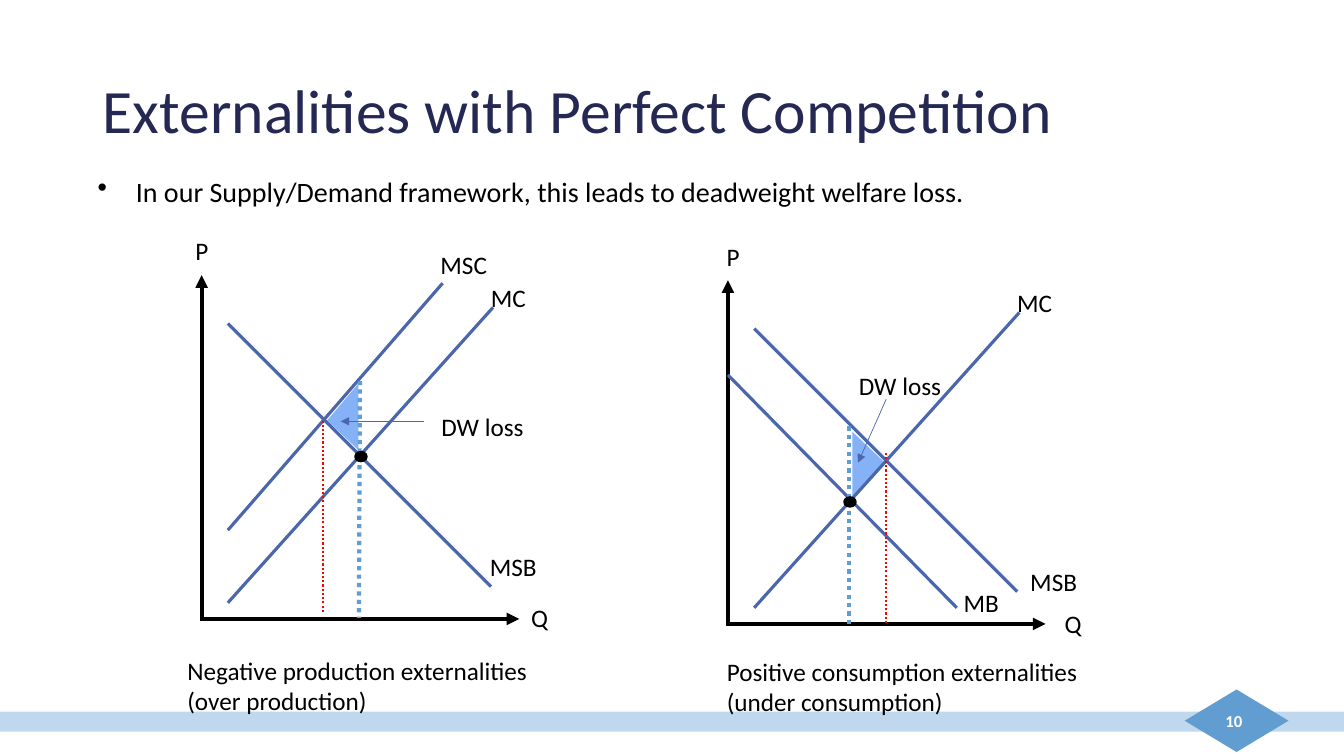
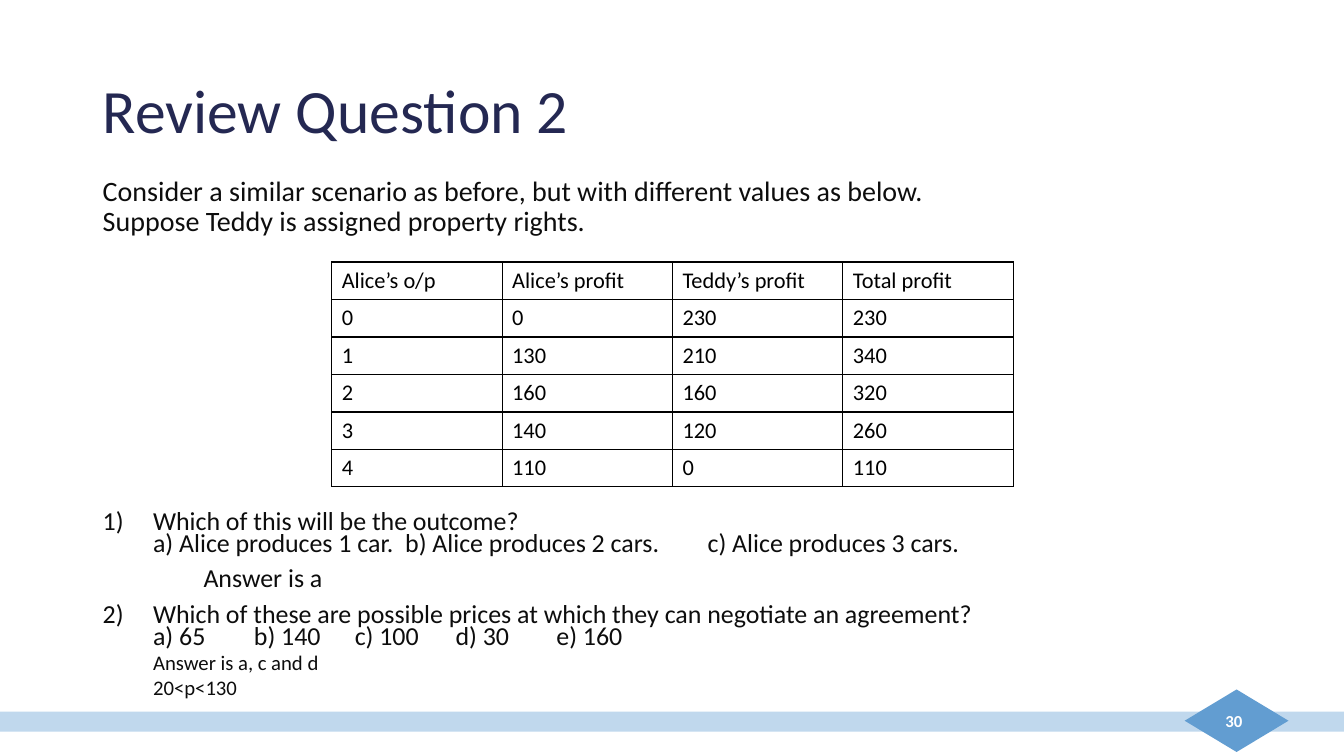
from dataclasses import dataclass, field
from typing import NamedTuple

from lxml import etree
from pptx import Presentation
from pptx.dml.color import RGBColor
from pptx.enum.dml import MSO_LINE
from pptx.enum.shapes import MSO_CONNECTOR, MSO_SHAPE
from pptx.enum.text import MSO_ANCHOR, MSO_AUTO_SIZE, PP_ALIGN
from pptx.oxml.ns import qn
from pptx.util import Inches, Pt

# The slide is a grid of one-inch columns and rows.
COLUMNS, ROWS = 13.33, 7.5
FONT = "Calibri"
BLACK, WHITE, NAVY, INK = "000000", "FFFFFF", "242852", "0D0D0D"
CURVE, ACCENT, BAND, LOSS, RED = "4A66AC", "629DD1", "C0D8ED", "85B2F6", "FF0000"
STRAIGHT = MSO_CONNECTOR.STRAIGHT
RECTANGLE, DIAMOND = MSO_SHAPE.RECTANGLE, MSO_SHAPE.DIAMOND
TRIANGLE, OVAL = MSO_SHAPE.ISOSCELES_TRIANGLE, MSO_SHAPE.OVAL
DOTTED = MSO_LINE.ROUND_DOT
LEFT, RIGHT, MIDDLE = PP_ALIGN.LEFT, PP_ALIGN.RIGHT, MSO_ANCHOR.MIDDLE
TITLE_ONLY = 5


class Point(NamedTuple):
    column: float
    row: float

    def shifted(self, origin: "Point") -> "Point":
        return Point(self.column + origin.column, self.row + origin.row)


class Area(NamedTuple):
    column: float
    row: float
    columns: float
    rows: float


class Label(NamedTuple):
    text: str
    at: Point
    columns: float = 1


class Stroke(NamedTuple):
    start: Point
    end: Point
    color: str = CURVE
    width: float = 2.25
    dotted: bool = False
    arrow: bool = False


@dataclass
class Paragraph:
    """One paragraph; each item of lines is a run, parted by line breaks."""
    lines: list[str]
    size: float
    color: str = BLACK
    bold: bool = False
    align: PP_ALIGN = LEFT
    spacing: float = 1.0
    before: float = 0
    margin: float = 0
    hanging: float = 0
    bullet: str = ""
    number: int = 0
    tabs: list[float] = field(default_factory=list)


@dataclass
class Graph:
    """A supply and demand graph, with all places relative to its origin."""
    origin: Point
    strokes: list[Stroke]
    labels: list[Label]
    loss: Point
    loss_turn: int
    dot: Point
    caption: list[str]
    caption_area: Area


def rgb(color: str) -> RGBColor:
    return RGBColor.from_string(color)


def box_of(area: Area) -> list[int]:
    return [Inches(length) for length in area]


def write(frame, paragraphs: list[Paragraph]) -> None:
    frame.word_wrap = True
    for index, item in enumerate(paragraphs):
        para = frame.add_paragraph() if index else frame.paragraphs[0]
        para.alignment = item.align
        para.line_spacing = item.spacing
        para.space_before = Pt(item.before if index else 0)
        properties = para._p.get_or_add_pPr()
        properties.set("marL", str(Inches(item.margin)))
        properties.set("indent", str(-Inches(item.hanging)))
        if item.bullet:
            etree.SubElement(properties, qn("a:buChar"), char=item.bullet)
        elif item.number:
            etree.SubElement(properties, qn("a:buAutoNum"),
                             type="arabicParenR", startAt=str(item.number))
        else:
            etree.SubElement(properties, qn("a:buNone"))
        if item.tabs:
            stops = etree.SubElement(properties, qn("a:tabLst"))
            for stop in item.tabs:
                etree.SubElement(stops, qn("a:tab"), pos=str(Inches(stop)), algn="l")
        for line_index, line in enumerate(item.lines):
            if line_index:
                para.add_line_break()
            span = para.add_run()
            span.text = line
            span.font.name = FONT
            span.font.size = Pt(item.size)
            span.font.bold = item.bold
            span.font.color.rgb = rgb(item.color)


def add_text(page, area: Area, paragraphs: list[Paragraph]):
    box = page.shapes.add_textbox(*box_of(area))
    write(box.text_frame, paragraphs)
    return box


def add_shape(page, kind, area: Area, fill: str):
    shape = page.shapes.add_shape(kind, *box_of(area))
    shape.shadow.inherit = False
    shape.fill.solid()
    shape.fill.fore_color.rgb = rgb(fill)
    shape.line.fill.background()
    return shape


def add_stroke(page, origin: Point, stroke: Stroke) -> None:
    ends = [*stroke.start.shifted(origin), *stroke.end.shifted(origin)]
    connector = page.shapes.add_connector(STRAIGHT, *(Inches(end) for end in ends))
    connector.line.color.rgb = rgb(stroke.color)
    connector.line.width = Pt(stroke.width)
    if stroke.dotted:
        connector.line.dash_style = DOTTED
    properties = connector._element.spPr
    if stroke.arrow:
        etree.SubElement(properties.find(qn("a:ln")), qn("a:tailEnd"), type="triangle")
    etree.SubElement(properties, qn("a:effectLst"))


def add_page(deck, title: str, number: int):
    """Add a slide with the shared title, band and page number."""
    page = deck.slides.add_slide(deck.slide_layouts[TITLE_ONLY])
    heading = page.shapes.title
    heading.left, heading.top, heading.width, heading.height = box_of(
        Area(0.92, 0.4, 11.5, 1.45))
    heading.text_frame.auto_size = MSO_AUTO_SIZE.NONE
    heading.text_frame.vertical_anchor = MIDDLE
    write(heading.text_frame, [Paragraph([title], 44, NAVY, spacing=0.9)])
    add_shape(page, RECTANGLE, Area(0, 7.06, COLUMNS, 0.2), BAND)
    add_shape(page, DIAMOND, Area(11.75, 6.84, 1.03, 0.62), ACCENT)
    box = add_text(page, Area(9.42, 6.95, 3, 0.4),
                   [Paragraph([str(number)], 12, WHITE, bold=True, align=RIGHT)])
    box.text_frame.vertical_anchor = MIDDLE
    return page


# Axes, marginal cost and social benefit are the same in both graphs.
SHARED_STROKES = [
    Stroke(Point(0, 0), Point(0, -3.41), BLACK, 3, arrow=True),
    Stroke(Point(-0.02, 0), Point(3.15, 0), BLACK, 3, arrow=True),
    Stroke(Point(0.26, -0.16), Point(2.89, -3.09)),
    Stroke(Point(0.26, -2.93), Point(2.87, -0.32)),
]
MC_LABEL = Label("MC", Point(2.77, -3.39))

GRAPHS = [
    Graph(
        origin=Point(2, 6.14),
        strokes=[
            Stroke(Point(0.26, -0.88), Point(2.39, -3.33)),
            Stroke(Point(1.57, -2.36), Point(1.56, -0.01), ACCENT, 3, dotted=True),
            Stroke(Point(2.21, -1.96), Point(1.38, -1.96), width=0.5, arrow=True),
            Stroke(Point(1.2, -0.07), Point(1.2, -1.96), RED, 1.5, dotted=True),
        ],
        labels=[
            Label("P", Point(-0.16, -3.85)),
            Label("Q", Point(3.17, -0.21)),
            Label("MSC", Point(2.27, -3.72)),
            Label("MSB", Point(2.76, -0.72)),
            Label("DW loss", Point(2.28, -2.11), 1.77),
        ],
        loss=Point(1.07, -2.16), loss_turn=270, dot=Point(1.52, -1.66),
        caption=["Negative production externalities", "(over production)"],
        caption_area=Area(1.76, 6.45, 3.58, 0.71),
    ),
    Graph(
        origin=Point(7.22, 6.19),
        strokes=[
            Stroke(Point(0, -2.47), Point(2.27, -0.16)),
            Stroke(Point(1.2, -1.96), Point(1.2, 0), ACCENT, 3, dotted=True),
            Stroke(Point(1.57, -2.23), Point(1.29, -1.6), width=0.5, arrow=True),
            Stroke(Point(1.57, -0.01), Point(1.57, -1.72), RED, 1.5, dotted=True),
        ],
        labels=[
            Label("P", Point(-0.11, -3.85)),
            Label("Q", Point(3.24, -0.2)),
            Label("MB", Point(2.24, -0.41)),
            Label("MSB", Point(2.9, -0.62)),
            Label("DW loss", Point(1.2, -2.57), 1.77),
        ],
        loss=Point(1.06, -1.73), loss_turn=90, dot=Point(1.15, -1.26),
        caption=["Positive consumption externalities (under consumption)"],
        caption_area=Area(7.11, 6.46, 4.08, 0.71),
    ),
]


def add_graph(page, graph: Graph) -> None:
    triangle = add_shape(page, TRIANGLE,
                         Area(*graph.loss.shifted(graph.origin), 0.66, 0.31), LOSS)
    triangle.adjustments[0] = 0.446
    triangle.rotation = graph.loss_turn
    for stroke in SHARED_STROKES + graph.strokes:
        add_stroke(page, graph.origin, stroke)
    for label in [MC_LABEL] + graph.labels:
        add_text(page, Area(*label.at.shifted(graph.origin), label.columns, 0.4),
                 [Paragraph([label.text], 18)])
    dot = add_shape(page, OVAL, Area(*graph.dot.shifted(graph.origin), 0.12, 0.1), BLACK)
    dot.line.color.rgb = rgb(BLACK)
    dot.line.width = Pt(1)
    add_text(page, graph.caption_area, [Paragraph([line], 18) for line in graph.caption])


PROFITS = [
    ["Alice’s o/p", "Alice’s profit", "Teddy’s profit", "Total profit"],
    [0, 0, 230, 230],
    [1, 130, 210, 340],
    [2, 160, 160, 320],
    [3, 140, 120, 260],
    [4, 110, 0, 110],
]


def add_border(cell) -> None:
    properties = cell._tc.get_or_add_tcPr()
    for index, side in enumerate(("a:lnL", "a:lnR", "a:lnT", "a:lnB")):
        edge = etree.Element(qn(side), w=str(Pt(1)))
        fill = etree.SubElement(edge, qn("a:solidFill"))
        etree.SubElement(fill, qn("a:srgbClr"), val=BLACK)
        properties.insert(index, edge)


def add_profit_table(page) -> None:
    area = Area(3.29, 2.6, 6.76, 2.23)
    table = page.shapes.add_table(len(PROFITS), len(PROFITS[0]), *box_of(area)).table
    table.first_row = table.horz_banding = False
    for row_index, row in enumerate(PROFITS):
        for column_index, value in enumerate(row):
            cell = table.cell(row_index, column_index)
            cell.fill.background()
            add_border(cell)
            write(cell.text_frame, [Paragraph([str(value)], 16)])


def question(number: int, text: str) -> Paragraph:
    return Paragraph([text], 18.5, INK, spacing=0.7, before=10,
                     margin=0.5, hanging=0.5, number=number)


def options(choices: list[str], stops: list[float]) -> Paragraph:
    return Paragraph(["".join("\t" + choice for choice in choices)], 18.5, INK,
                     spacing=0.7, tabs=[0.5] + stops)


def answer(text: str, size: float, margin: float, before: float) -> Paragraph:
    return Paragraph([text], size, INK, spacing=0.7, before=before, margin=margin)


def main() -> None:
    deck = Presentation()
    deck.slide_width, deck.slide_height = Inches(COLUMNS), Inches(ROWS)

    page = add_page(deck, "Externalities with Perfect Competition", 10)
    add_text(page, Area(0.87, 1.68, 11.63, 0.44), [Paragraph(
        ["In our Supply/Demand framework, this leads to deadweight welfare loss."],
        20, margin=0.38, hanging=0.38, bullet="•")])
    for graph in GRAPHS:
        add_graph(page, graph)

    page = add_page(deck, "Review Question 2", 30)
    add_text(page, Area(0.92, 1.71, 11.08, 0.77), [Paragraph(
        ["Consider a similar scenario as before, but with different values as below.",
         "Suppose Teddy is assigned property rights."], 20, INK, spacing=0.9)])
    add_profit_table(page)
    add_text(page, Area(0.92, 5.04, 11.08, 2), [
        question(1, "Which of this will be the outcome?"),
        options(["a) Alice produces 1 car.", "b) Alice produces 2 cars.",
                 "c) Alice produces 3 cars."], [3.11, 5.75]),
        answer("Answer is a", 18.5, 1, 10),
        question(2, "Which of these are possible prices at which they can "
                    "negotiate an agreement?"),
        options(["a) 65", "b) 140", "c) 100", "d) 30", "e) 160"],
                [1.36, 2.31, 3.24, 4]),
        answer("Answer is a, c and d", 14.8, 0.5, 5),
        answer("20<p<130", 14.8, 0.5, 5),
    ])
    deck.save("out.pptx")


if __name__ == "__main__":
    main()
